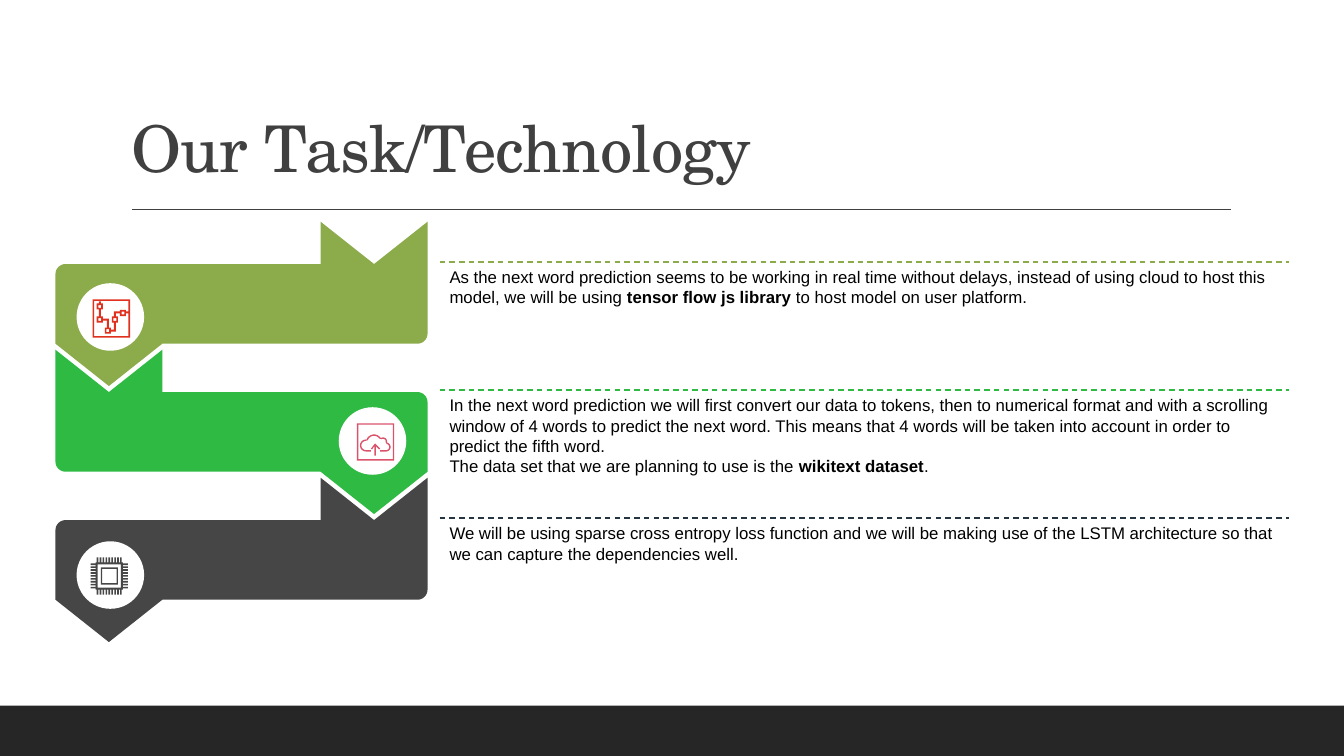
import math

from lxml import etree
from pptx import Presentation
from pptx.enum import dml, shapes, text
from pptx.oxml import ns
from pptx.util import Emu, Inches, Pt

SLIDE_WIDTH, SLIDE_HEIGHT = 13.33, 7.5
COLORS = {
    "olive": "8CAB4A", "green": "2EBA43", "charcoal": "464646",
    "navy": "243541", "band": "262626", "title": "404040",
    "text": "000000", "white": "FFFFFF", "red": "E0301E", "rose": "DB536A",
}

# Rows: top, size of the ribbon, and what each row holds
ROWS_TOP, ROW_PITCH = 2.2, 1.27
RIBBON_LEFT, RIBBON_WIDTH, RIBBON_HEIGHT = 0.55, 3.69, 1.63
BADGE_SIZE, BADGE_INSET = 0.67, 0.21
TEXT_LEFT, TEXT_WIDTH, TEXT_HEIGHT, TEXT_DROP = 4.36, 8.42, 0.91, 0.4


def color(name):
    return dml_color.from_string(COLORS[name])


def fill_shape(shape, name):
    shape.shadow.inherit = False
    shape.fill.solid()
    shape.fill.fore_color.rgb = color(name)
    shape.line.fill.background()


def add_line(slide, left, top, width, name, dashed=False):
    line = slide.shapes.add_connector(
        shapes.MSO_CONNECTOR.STRAIGHT,
        Inches(left), Inches(top), Inches(left + width), Inches(top))
    line.line.width = Pt(1)
    line.line.color.rgb = color(name)
    if dashed:
        line.line.dash_style = dml.MSO_LINE.DASH
    etree.SubElement(line._element.spPr, ns.qn("a:effectLst"))


def add_outline(slide, left, top, contours, name, unit=1.0):
    """Draw closed contours, given in units of an inch, as one shape."""
    placed = [[(Inches(left + x * unit), Inches(top + y * unit)) for x, y in contour]
              for contour in contours]
    builder = slide.shapes.build_freeform(*placed[0][0])
    for index, points in enumerate(placed):
        if index:
            builder.move_to(*points[0])
        builder.add_line_segments(points[1:], close=True)
    fill_shape(builder.convert_to_shape(), name)


def arc(x, y, radius, start, end, steps=8):
    angles = [math.radians(start + (end - start) * step / steps) for step in range(steps + 1)]
    return [(x + radius * math.cos(angle), y + radius * math.sin(angle)) for angle in angles]


def box(left, top, right, bottom):
    return [(left, top), (right, top), (right, bottom), (left, bottom)]


# Icons: contours on a grid of 37 by 37 hundredths of an inch
def circuit_icon():
    nodes = [(4, 4), (4, 17), (12, 28), (19, 17), (27, 10.5)]
    traces = [(6, 2, 8, 4), (6, 10, 8, 17), (10, 19, 16, 21), (14, 21, 16, 28),
              (18, 30, 23, 32), (21, 23, 23, 30), (21, 14, 23, 17),
              (21, 12, 27, 14), (33, 12, 35, 14)]
    contours = [box(0, 0, 37, 38), box(1.5, 1.5, 35.5, 36.5)]
    for x, y in nodes:
        contours += [box(x, y, x + 6, y + 6), box(x + 1.6, y + 1.6, x + 4.4, y + 4.4)]
    return contours + [box(*trace) for trace in traces]


def cloud_icon():
    def cloud_edge(inset):
        return ([(14, 28 - inset)] + arc(9, 22, 6 - inset, 90, 265)
                + arc(17, 19, 8 - inset, 200, 325)
                + arc(26, 18, 4 - inset, 240, 375)
                + arc(29, 23.5, 4.5 - inset, 280, 450) + [(23, 28 - inset)])

    arrow = [(18, 20), (23, 25), (22, 26), (18.7, 22.7), (18.7, 32),
             (17.3, 32), (17.3, 22.7), (15, 26), (14, 25)]
    return [box(0, 0, 37, 37), box(1.4, 1.4, 35.6, 35.6),
            cloud_edge(0) + cloud_edge(1.4)[::-1], arrow]


def chip_icon():
    contours = [box(5, 5, 32, 32), box(7, 7, 30, 30),
                box(10, 10, 27, 27), box(11.4, 11.4, 25.6, 25.6)]
    for pin in range(9):
        start = 6 + 2.9 * pin
        end = start + 1.6
        for near, far in ((0, 5), (32, 37)):
            contours += [box(start, near, end, far), box(near, start, far, end)]
    return contours


def add_title(slide, left, top, width, height):
    title = slide.shapes.title
    title.left, title.top = Inches(left), Inches(top)
    title.width, title.height = Inches(width), Inches(height)
    frame = title.text_frame
    frame.text = "Our Task/Technology"
    frame.auto_size = text.MSO_AUTO_SIZE.NONE
    frame.vertical_anchor = text.MSO_ANCHOR.BOTTOM
    paragraph = frame.paragraphs[0]
    paragraph.alignment = text.PP_ALIGN.LEFT
    paragraph.line_spacing = 0.9
    paragraph.font.size = Pt(46)
    paragraph.font.name = "TeX Gyre Schola"
    paragraph.font.color.rgb = color("title")
    paragraph.runs[0].font._element.set("spc", "-50")
    add_line(slide, left + 0.11, top + height + 0.18, width - 0.1, "title")


def add_ribbon(slide, left, top, width, height, name, mirrored):
    radius, fold, notch = 0.1, 0.42, 1.06
    lower = height - fold
    points = [(width - notch / 2, fold), (width - notch, 0), (width - notch, fold)]
    points += arc(radius, fold + radius, radius, 270, 180)
    points += [(0, lower), (notch / 2, height), (notch, lower)]
    points += arc(width - radius, lower - radius, radius, 90, 0)
    points += [(width, 0)]
    if mirrored:
        points = [(width - x, y) for x, y in points]
    add_outline(slide, left, top, [points], name)


def add_badge(slide, left, top, icon, icon_color, icon_inset):
    badge = slide.shapes.add_shape(
        shapes.MSO_SHAPE.OVAL, Inches(left), Inches(top), Inches(BADGE_SIZE), Inches(BADGE_SIZE))
    fill_shape(badge, "white")
    add_outline(slide, left + icon_inset, top + 0.16, icon, icon_color, unit=0.01)


def add_description(slide, left, top, width, height, paragraphs, line_color):
    add_line(slide, left, top, width, line_color, dashed=True)
    frame = slide.shapes.add_textbox(
        Inches(left), Inches(top), Inches(width), Inches(height)).text_frame
    frame.word_wrap = True
    for index, pieces in enumerate(paragraphs):
        paragraph = frame.add_paragraph() if index else frame.paragraphs[0]
        paragraph.font.size = Pt(12)
        paragraph.font.name = "Arial"
        paragraph.font.color.rgb = color("text")
        for position, piece in enumerate(pieces):
            run = paragraph.add_run()
            run.text = piece
            if position % 2:  # every second piece is emphasised
                run.font.bold = True


def add_row(slide, index, row):
    top = ROWS_TOP + index * ROW_PITCH
    mirrored = index % 2 == 1
    add_ribbon(slide, RIBBON_LEFT, top, RIBBON_WIDTH, RIBBON_HEIGHT, row["ribbon"], mirrored)
    badge_shift = RIBBON_WIDTH - BADGE_SIZE - BADGE_INSET if mirrored else BADGE_INSET
    add_badge(slide, RIBBON_LEFT + badge_shift, top + row["badge_drop"], *row["icon"])
    add_description(slide, TEXT_LEFT, top + TEXT_DROP, TEXT_WIDTH, TEXT_HEIGHT,
                    row["text"], row["line"])


ROWS = [
    {"ribbon": "olive", "line": "olive", "badge_drop": 0.61,
     "icon": (circuit_icon(), "red", 0.16),
     "text": [["As the next word prediction seems to be working in real time without delays, "
               "instead of using cloud to host this model, we will be using ",
               "tensor flow js library", " to host model on user platform."]]},
    {"ribbon": "green", "line": "green", "badge_drop": 0.57,
     "icon": (cloud_icon(), "rose", 0.18),
     "text": [["In the next word prediction we will first convert our data to tokens, then to "
               "numerical format and with a scrolling window of 4 words to predict the next "
               "word. This means that 4 words will be taken into account in order to predict "
               "the fifth word."],
              ["The data set that we are planning to use is the ", "wikitext dataset", "."]]},
    {"ribbon": "charcoal", "line": "navy", "badge_drop": 0.63,
     "icon": (chip_icon(), "charcoal", 0.14),
     "text": [["We will be using sparse cross entropy loss function and we will be making use "
               "of the LSTM architecture so that we can capture the dependencies well."]]},
]


def main():
    presentation = Presentation()
    presentation.slide_width = Inches(SLIDE_WIDTH)
    presentation.slide_height = Inches(SLIDE_HEIGHT)
    slide = presentation.slides.add_slide(presentation.slide_layouts[5])

    # Footer band
    band = slide.shapes.add_shape(
        shapes.MSO_SHAPE.RECTANGLE, Emu(0), Inches(7), Inches(SLIDE_WIDTH), Inches(0.5))
    fill_shape(band, "band")

    add_title(slide, 1.2, 0.31, 11, 1.59)
    for index, row in enumerate(ROWS):
        add_row(slide, index, row)
    presentation.save("out.pptx")


from pptx.dml.color import RGBColor as dml_color

if __name__ == "__main__":
    main()
